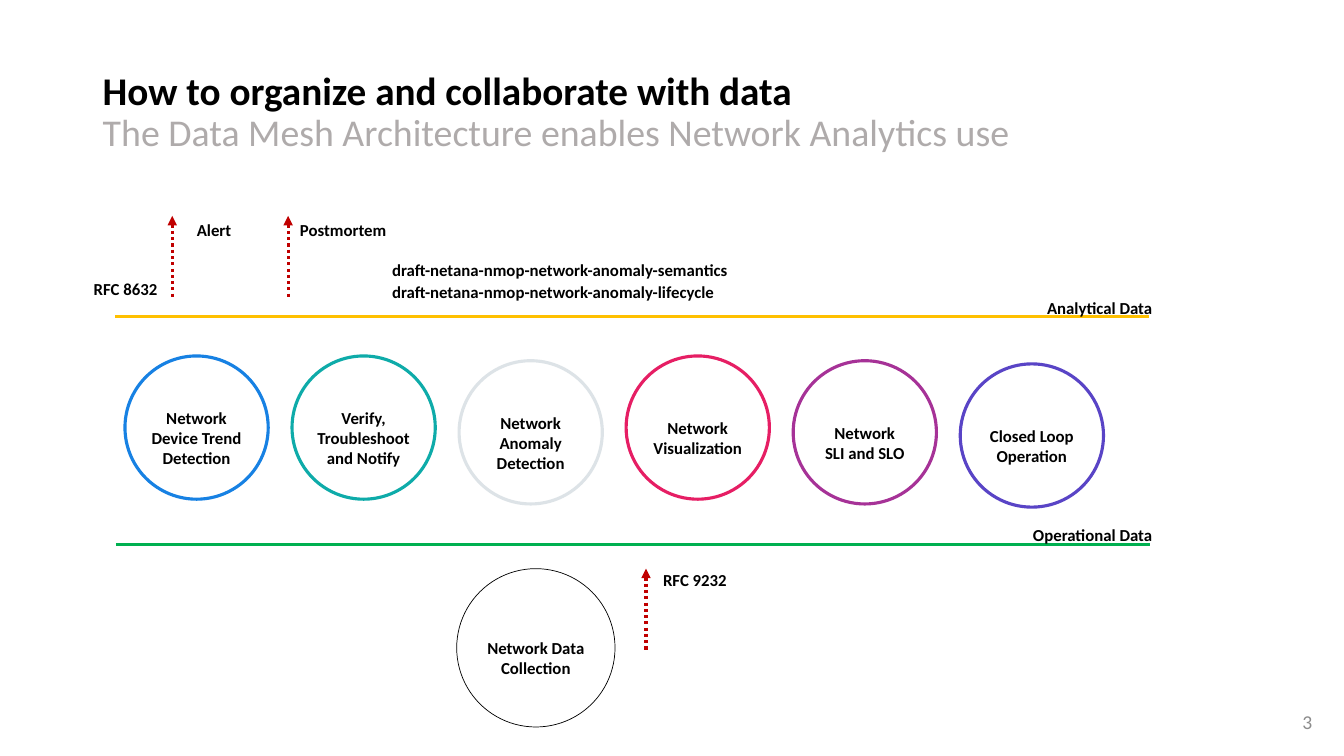
from lxml.etree import SubElement
from pptx import Presentation
from pptx.dml.color import RGBColor
from pptx.enum.dml import MSO_LINE
from pptx.enum.shapes import MSO_CONNECTOR, MSO_SHAPE
from pptx.enum.text import MSO_ANCHOR, PP_ALIGN
from pptx.oxml.ns import qn
from pptx.util import Cm, Pt

BLACK = RGBColor(0x00, 0x00, 0x00)
WHITE = RGBColor(0xFF, 0xFF, 0xFF)
SUBTITLE_GRAY = RGBColor(0xAF, 0xAB, 0xAB)
NUMBER_GRAY = RGBColor(0x8C, 0x8C, 0x8C)
ARROW_RED = RGBColor(0xC0, 0x00, 0x00)
ANALYTICAL_AMBER = RGBColor(0xFF, 0xC0, 0x00)
OPERATIONAL_GREEN = RGBColor(0x00, 0xB0, 0x50)
BLUE = RGBColor(0x17, 0x81, 0xE3)
TEAL = RGBColor(0x0E, 0xAB, 0xA9)
SILVER = RGBColor(0xDD, 0xE3, 0xE7)
CRIMSON = RGBColor(0xE6, 0x1E, 0x64)
PURPLE = RGBColor(0xA6, 0x32, 0x97)
INDIGO = RGBColor(0x59, 0x44, 0xC6)

USE_CASES = [
    ("Network Device Trend Detection", BLUE, 8.97),
    ("Verify, Troubleshoot and Notify", TEAL, 8.97),
    ("Network Anomaly Detection", SILVER, 9.09),
    ("Network Visualization", CRIMSON, 8.97),
    ("Network\nSLI and SLO", PURPLE, 9.09),
    ("Closed Loop Operation", INDIGO, 9.17),
]
FIRST_CIRCLE_LEFT = 3.15
CIRCLE_PITCH = 4.21
CIRCLE_SIZE = 3.61

ARROWS = [(4.34, 5.44), (7.26, 5.44), (16.28, 14.33)]
ARROW_LENGTH = 2.1

DATA_LAYERS = [
    ("Analytical Data", 2.9, 7.98, ANALYTICAL_AMBER),
    ("Operational Data", 2.92, 13.72, OPERATIONAL_GREEN),
]
LAYER_LENGTH = 26.06

LABELS = [
    ("Alert", 4.39, 5.38, 2.01, PP_ALIGN.CENTER, 1.1),
    ("Postmortem", 7.19, 5.38, 2.92, PP_ALIGN.CENTER, 1.1),
    ("draft-netana-nmop-network-anomaly-semantics\n"
     "draft-netana-nmop-network-anomaly-lifecycle", 9.63, 6.68, 9.73, PP_ALIGN.LEFT, 1.1),
    ("RFC 8632", 2.11, 6.91, 2.24, PP_ALIGN.LEFT, 1.0),
    ("RFC 9232", 16.46, 14.22, 2.24, PP_ALIGN.LEFT, 1.0),
]


class SlideBuilder:
    font_name = "Calibri"
    label_size = 12
    label_height = 0.76

    def __init__(self, slide):
        self.shapes = slide.shapes

    def span(self, para, text, size, color, bold):
        for index, line in enumerate(text.split("\n")):
            if index:
                self.line_break(para, size)
            span = para.add_run()
            span.text = line
            span.font.name = self.font_name
            span.font.size = Pt(size)
            span.font.bold = bold
            span.font.color.rgb = color

    def line_break(self, para, size):
        para.add_line_break()
        SubElement(para._p[-1], qn("a:rPr"), sz=str(size * 100))

    def text(self, left, top, width, height, align, spacing, spans):
        box = self.shapes.add_textbox(Cm(left), Cm(top), Cm(width), Cm(height))
        frame = box.text_frame
        frame.word_wrap = True
        frame.vertical_anchor = MSO_ANCHOR.MIDDLE
        para = frame.paragraphs[0]
        para.alignment = align
        para.line_spacing = spacing
        for index, (content, size, color, bold) in enumerate(spans):
            if index:
                self.line_break(para, size)
            self.span(para, content, size, color, bold)

    def label(self, content, left, top, width, align, spacing):
        self.text(left, top, width, self.label_height, align, spacing,
                  [(content, self.label_size, BLACK, True)])

    def circle(self, content, left, top, size, color, weight):
        circle = self.shapes.add_shape(MSO_SHAPE.OVAL, Cm(left), Cm(top), Cm(size), Cm(size))
        circle.shadow.inherit = False
        circle.fill.solid()
        circle.fill.fore_color.rgb = WHITE
        circle.line.color.rgb = color
        circle.line.width = Pt(weight)
        frame = circle.text_frame
        frame.word_wrap = True
        frame.vertical_anchor = MSO_ANCHOR.MIDDLE
        frame.margin_left = frame.margin_right = frame.margin_bottom = 0
        frame.margin_top = Cm(0.52)
        para = frame.paragraphs[0]
        para.alignment = PP_ALIGN.CENTER
        self.span(para, content, self.label_size, BLACK, True)

    def line(self, left, top, right, bottom, color):
        line = self.shapes.add_connector(
            MSO_CONNECTOR.STRAIGHT, Cm(left), Cm(top), Cm(right), Cm(bottom))
        line.line.color.rgb = color
        line.line.width = Pt(2.25)
        SubElement(line._element.spPr, qn("a:effectLst"))
        return line

    def up_arrow(self, left, top, length):
        arrow = self.line(left, top, left, top + length, ARROW_RED)
        arrow.line.dash_style = MSO_LINE.ROUND_DOT
        SubElement(arrow.line._get_or_add_ln(), qn("a:headEnd"), type="triangle")


def main():
    deck = Presentation()
    deck.slide_width = Cm(33.87)
    deck.slide_height = Cm(19.05)
    page = SlideBuilder(deck.slides.add_slide(deck.slide_layouts[6]))

    page.text(2.34, 1.02, 29.21, 3.68, PP_ALIGN.LEFT, 0.9, [
        ("How to organize and collaborate with data", 28, BLACK, True),
        ("The Data Mesh Architecture enables Network Analytics use", 27, SUBTITLE_GRAY, False),
    ])
    page.text(32.18, 17.68, 1.14, 1.02, PP_ALIGN.RIGHT, 1.0, [("3", 14, NUMBER_GRAY, False)])

    page.circle("Network Data Collection", 11.51, 14.33, 3.99, BLACK, 0.5)
    for index, (content, color, top) in enumerate(USE_CASES):
        left = FIRST_CIRCLE_LEFT + index * CIRCLE_PITCH
        page.circle(content, left, top, CIRCLE_SIZE, color, 2.25)

    for content, left, top, color in DATA_LAYERS:
        page.line(left, top, left + LAYER_LENGTH, top, color)
        page.label(content, 16.92, top - 0.64, 12.37, PP_ALIGN.RIGHT, 1.1)

    for left, top in ARROWS:
        page.up_arrow(left, top, ARROW_LENGTH)
    for label in LABELS:
        page.label(*label)

    deck.save("out.pptx")


if __name__ == "__main__":
    main()
